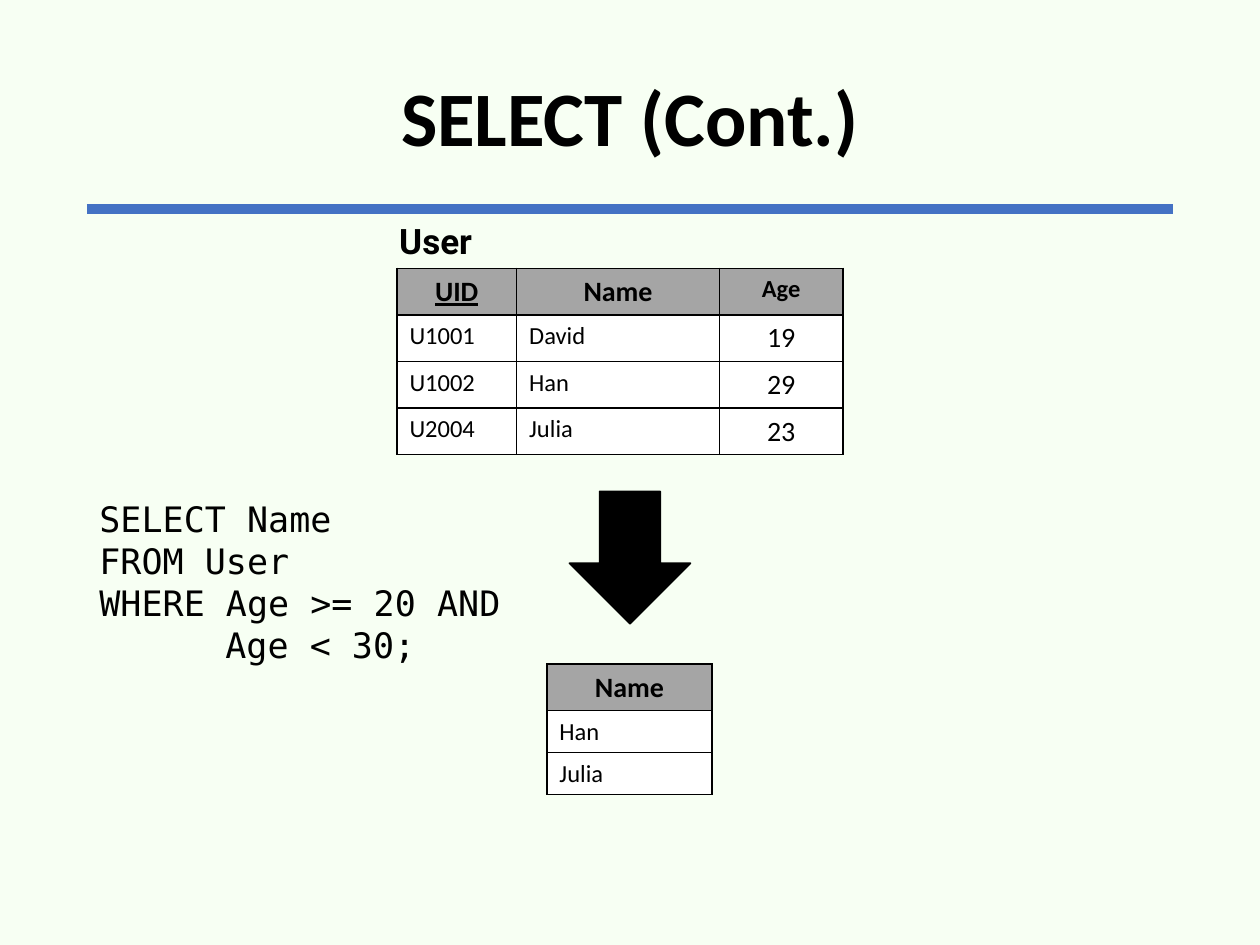
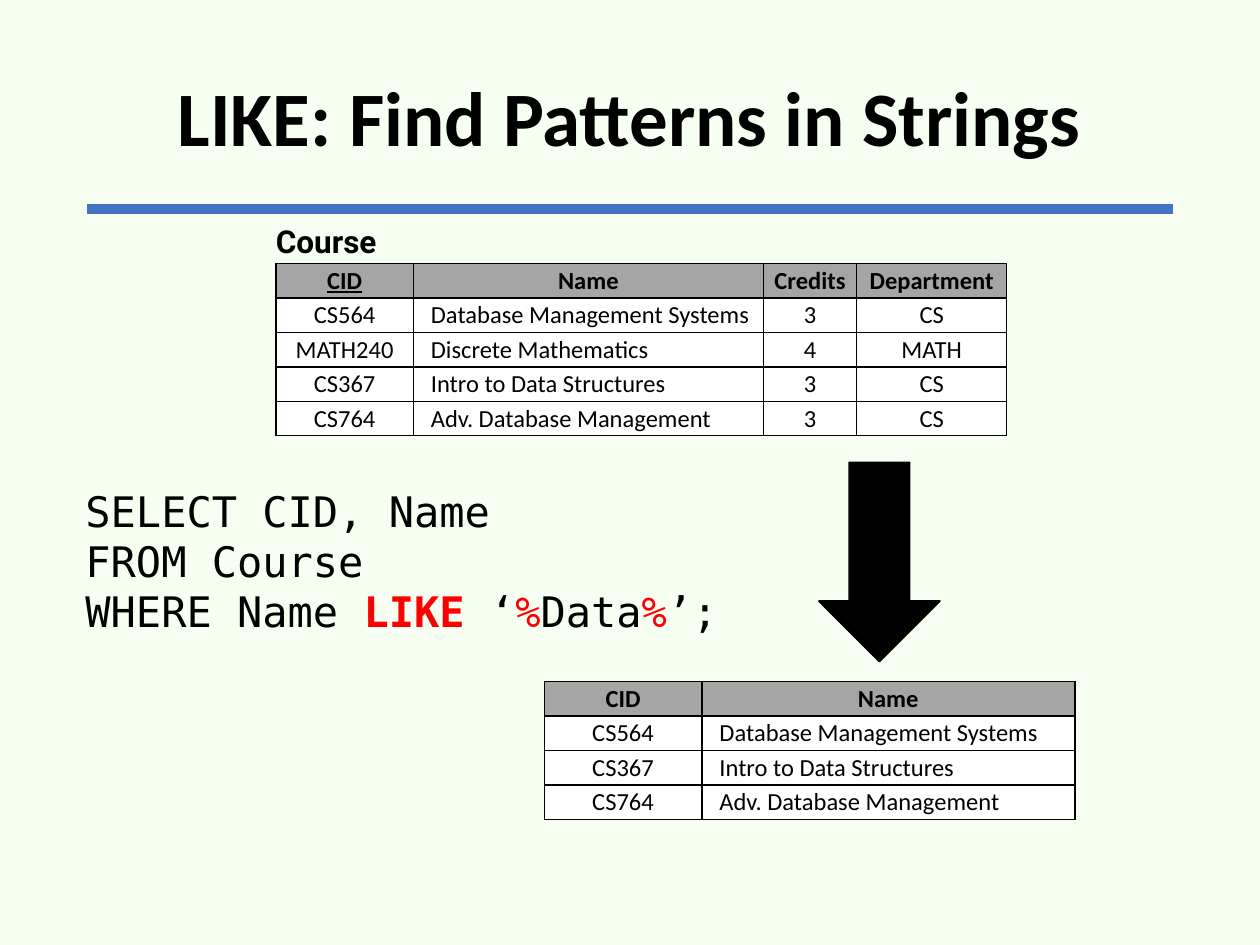
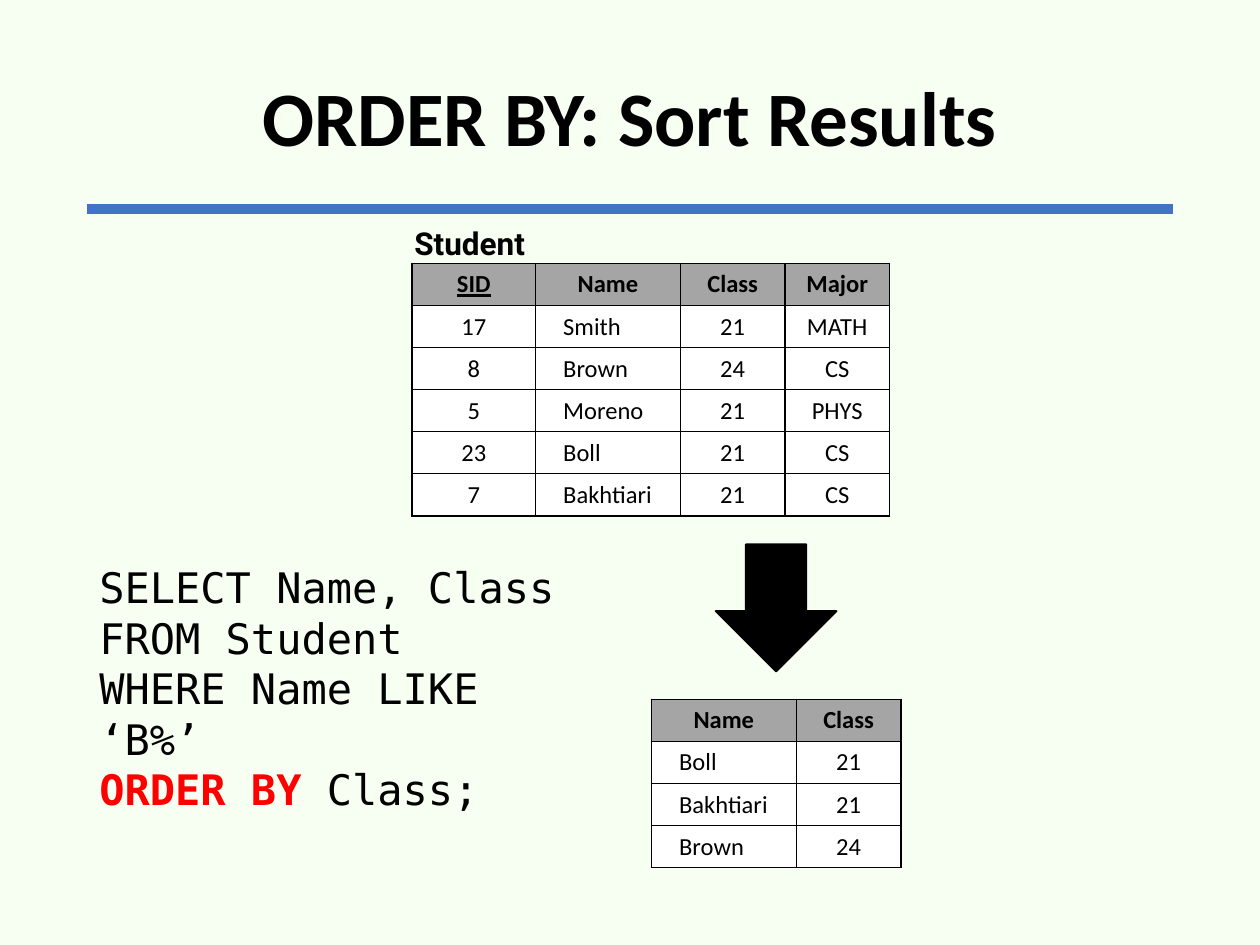
from pptx import Presentation
from pptx.dml.color import RGBColor
from pptx.enum.shapes import MSO_CONNECTOR, MSO_SHAPE
from pptx.enum.text import MSO_ANCHOR, MSO_AUTO_SIZE, PP_ALIGN
from pptx.oxml import parse_xml
from pptx.oxml.ns import nsdecls
from pptx.util import Inches, Pt

# Shared look
BACKGROUND, BLACK, WHITE = "F7FFF3", "000000", "FFFFFF"
RULE_BLUE, HEADER_GREY, RED = "4472C4", "A5A5A5", "FF0000"
TITLE = {"size": Pt(44), "name": "Calibri", "bold": True}
PLAIN = {}
PERCENT = {"color": RED}
KEYWORD = {"color": RED, "bold": True}
ARROW_WIDTH = 0.96
COLUMN_INDENT = 0.12


def paint(color_format, color):
    color_format.rgb = RGBColor.from_string(color)


def add_span(para, text, values, color=BLACK):
    span = para.add_run()
    span.text = text
    for name, value in values.items():
        if name == "color":
            color = value
        else:
            setattr(span.font, name, value)
    paint(span.font.color, color)


# Table columns are (width, placement, header size, body size)
PAGES = [
    {
        "title": "SELECT (Cont.)",
        "caption": ("User", 20, (3.07, 1.69, 0.78, 0.44)),
        "code_box": (0.69, 3.9, 3.42, 1.44),
        "code_size": 20,
        "code": [
            [("SELECT Name", PLAIN)],
            [("FROM User", PLAIN)],
            [("WHERE Age >= 20 AND", PLAIN)],
            [("Age < 30;", PLAIN)],
        ],
        "line_indents": {3: 1},
        "arrow": (4.52, 3.9, 1.05),
        "tables": [
            {
                "at": (3.15, 2.13), "key": True, "inset": None,
                "heights": [0.37] * 4,
                "columns": [(0.95, "left", 16, 14), (1.61, "left", 16, 14),
                            (0.98, "center", 14, 16)],
                "rows": [("UID", "Name", "Age"), ("U1001", "David", "19"),
                         ("U1002", "Han", "29"), ("U2004", "Julia", "23")],
            },
            {
                "at": (4.34, 5.27), "key": False, "inset": None,
                "heights": [0.37, 0.33, 0.33],
                "columns": [(1.31, "left", 16, 14)],
                "rows": [("Name",), ("Han",), ("Julia",)],
            },
        ],
    },
    {
        "title": "LIKE: Find Patterns in Strings",
        "caption": ("Course", 18, (2.09, 1.71, 1.01, 0.4)),
        "code_box": (0.58, 3.8, 6, 1.81),
        "code_size": 24,
        "code": [
            [("SELECT CID, Name", PLAIN)],
            [("FROM Course", PLAIN)],
            [("WHERE Name ", PLAIN), ("LIKE", KEYWORD), (" ‘", PLAIN), ("%", PERCENT),
             ("Data", PLAIN), ("%", PERCENT), ("’;", PLAIN)],
        ],
        "line_indents": {},
        "arrow": (6.5, 3.67, 1.58),
        "tables": [
            {
                "at": (2.19, 2.09), "key": True, "inset": 0.02,
                "heights": [1.37 / 5] * 5,
                "columns": [(1.09, "center", 14, 14), (2.78, "indent", 14, 14),
                            (0.74, "center", 14, 14), (1.19, "center", 14, 14)],
                "rows": [("CID", "Name", "Credits", "Department"),
                         ("CS564", "Database Management Systems", "3", "CS"),
                         ("MATH240", "Discrete Mathematics", "4", "MATH"),
                         ("CS367", "Intro to Data Structures", "3", "CS"),
                         ("CS764", "Adv. Database Management", "3", "CS")],
            },
            {
                "at": (4.32, 5.41), "key": False, "inset": 0.02,
                "heights": [1.09 / 4] * 4,
                "columns": [(1.25, "center", 14, 14), (2.96, "indent", 14, 14)],
                "rows": [("CID", "Name"),
                         ("CS564", "Database Management Systems"),
                         ("CS367", "Intro to Data Structures"),
                         ("CS764", "Adv. Database Management")],
            },
        ],
    },
    {
        "title": "ORDER BY: Sort Results",
        "caption": ("Student", 18, (3.19, 1.73, 1.08, 0.4)),
        "code_box": (0.69, 4.41, 4.1, 1.83),
        "code_size": 24,
        "code": [
            [("SELECT Name, Class", PLAIN)],
            [("FROM Student", PLAIN)],
            [("WHERE Name LIKE ‘B%’", PLAIN)],
            [("ORDER BY ", KEYWORD), ("Class;", PLAIN)],
        ],
        "line_indents": {},
        "arrow": (5.68, 4.32, 1.01),
        "tables": [
            {
                "at": (3.27, 2.09), "key": True, "inset": None,
                "heights": [2 / 6] * 6,
                "columns": [(0.98, "center", 14, 14), (1.15, "indent", 14, 14),
                            (0.83, "center", 14, 14), (0.83, "center", 14, 14)],
                "rows": [("SID", "Name", "Class", "Major"),
                         ("17", "Smith", "21", "MATH"),
                         ("8", "Brown", "24", "CS"),
                         ("5", "Moreno", "21", "PHYS"),
                         ("23", "Boll", "21", "CS"),
                         ("7", "Bakhtiari", "21", "CS")],
            },
            {
                "at": (5.17, 5.55), "key": False, "inset": None,
                "heights": [1.33 / 4] * 4,
                "columns": [(1.15, "indent", 14, 14), (0.83, "center", 14, 14)],
                "rows": [("Name", "Class"), ("Boll", "21"),
                         ("Bakhtiari", "21"), ("Brown", "24")],
            },
        ],
    },
]

deck = Presentation()
deck.slide_width, deck.slide_height = Inches(10), Inches(7.5)
background = deck.slide_master.background.fill
background.solid()
paint(background.fore_color, BACKGROUND)

for content in PAGES:
    page = deck.slides.add_slide(deck.slide_layouts[5])

    # Title
    title = page.shapes.title
    title.left, title.top, title.width, title.height = map(Inches, (0.69, 0.24, 8.62, 1.45))
    title.text_frame.vertical_anchor = MSO_ANCHOR.MIDDLE
    title.text_frame.auto_size = MSO_AUTO_SIZE.NONE
    para = title.text_frame.paragraphs[0]
    para.alignment = PP_ALIGN.CENTER
    para.line_spacing = 0.9
    add_span(para, content["title"], TITLE)

    # Rule under the title
    rule = page.shapes.add_connector(
        MSO_CONNECTOR.STRAIGHT, Inches(0.69), Inches(1.66), Inches(9.31), Inches(1.66))
    rule.line.width = Pt(6)
    paint(rule.line.color, RULE_BLUE)
    rule._element.spPr.append(parse_xml(f"<a:effectLst {nsdecls('a')}/>"))

    # Query
    code_box = page.shapes.add_textbox(*map(Inches, content["code_box"]))
    frame = code_box.text_frame
    frame.word_wrap = True
    for number, spans in enumerate(content["code"]):
        para = frame.add_paragraph() if number else frame.paragraphs[0]
        if number in content["line_indents"]:
            indent = Inches(content["line_indents"][number])
            para._p.get_or_add_pPr().set("marL", str(indent))
        for text, values in spans:
            code_font = {"size": Pt(content["code_size"]), "name": "DejaVu Sans Mono"}
            add_span(para, text, code_font | values)

    # Arrow from the table to the result
    left, top, height = content["arrow"]
    arrow = page.shapes.add_shape(
        MSO_SHAPE.DOWN_ARROW, Inches(left), Inches(top), Inches(ARROW_WIDTH), Inches(height))
    arrow.shadow.inherit = False
    arrow.fill.solid()
    paint(arrow.fill.fore_color, BLACK)
    paint(arrow.line.color, BLACK)
    arrow.line.width = Pt(1)

    # Table and result
    for grid in content["tables"]:
        columns, rows, heights = grid["columns"], grid["rows"], grid["heights"]
        table = page.shapes.add_table(
            len(rows), len(columns), *map(Inches, grid["at"]),
            Inches(sum(column[0] for column in columns)), Inches(sum(heights))).table
        for row, height in zip(table.rows, heights):
            row.height = Inches(height)
        for column_number, (width, placement, header_size, body_size) in enumerate(columns):
            table.columns[column_number].width = Inches(width)
            for row_number, texts in enumerate(rows):
                header = row_number == 0
                cell = table.cell(row_number, column_number)
                cell.fill.solid()
                paint(cell.fill.fore_color, HEADER_GREY if header else WHITE)
                if grid["inset"] is not None:
                    for side in ("left", "top", "right", "bottom"):
                        setattr(cell, f"margin_{side}", Inches(grid["inset"]))
                properties = cell._tc.get_or_add_tcPr()
                for position, edge in enumerate(("lnL", "lnR", "lnT", "lnB")):
                    properties.insert(position, parse_xml(
                        f'<a:{edge} {nsdecls("a")} w="{Pt(1)}"><a:solidFill>'
                        f'<a:srgbClr val="{BLACK}"/></a:solidFill></a:{edge}>'))
                para = cell.text_frame.paragraphs[0]
                if header or placement == "center":
                    para.alignment = PP_ALIGN.CENTER
                elif placement == "indent":
                    para._p.get_or_add_pPr().set("marL", str(Inches(COLUMN_INDENT)))
                add_span(para, texts[column_number], {
                    "size": Pt(header_size if header else body_size),
                    "name": "Calibri",
                    "bold": header,
                    "underline": header and grid["key"] and column_number == 0,
                })

    # Table name
    name, size, place = content["caption"]
    caption = page.shapes.add_textbox(*map(Inches, place))
    caption.text_frame.word_wrap = False
    caption.text_frame.auto_size = MSO_AUTO_SIZE.SHAPE_TO_FIT_TEXT
    add_span(caption.text_frame.paragraphs[0], name,
             {"size": Pt(size), "name": "Roboto", "bold": True})

deck.save("out.pptx")
